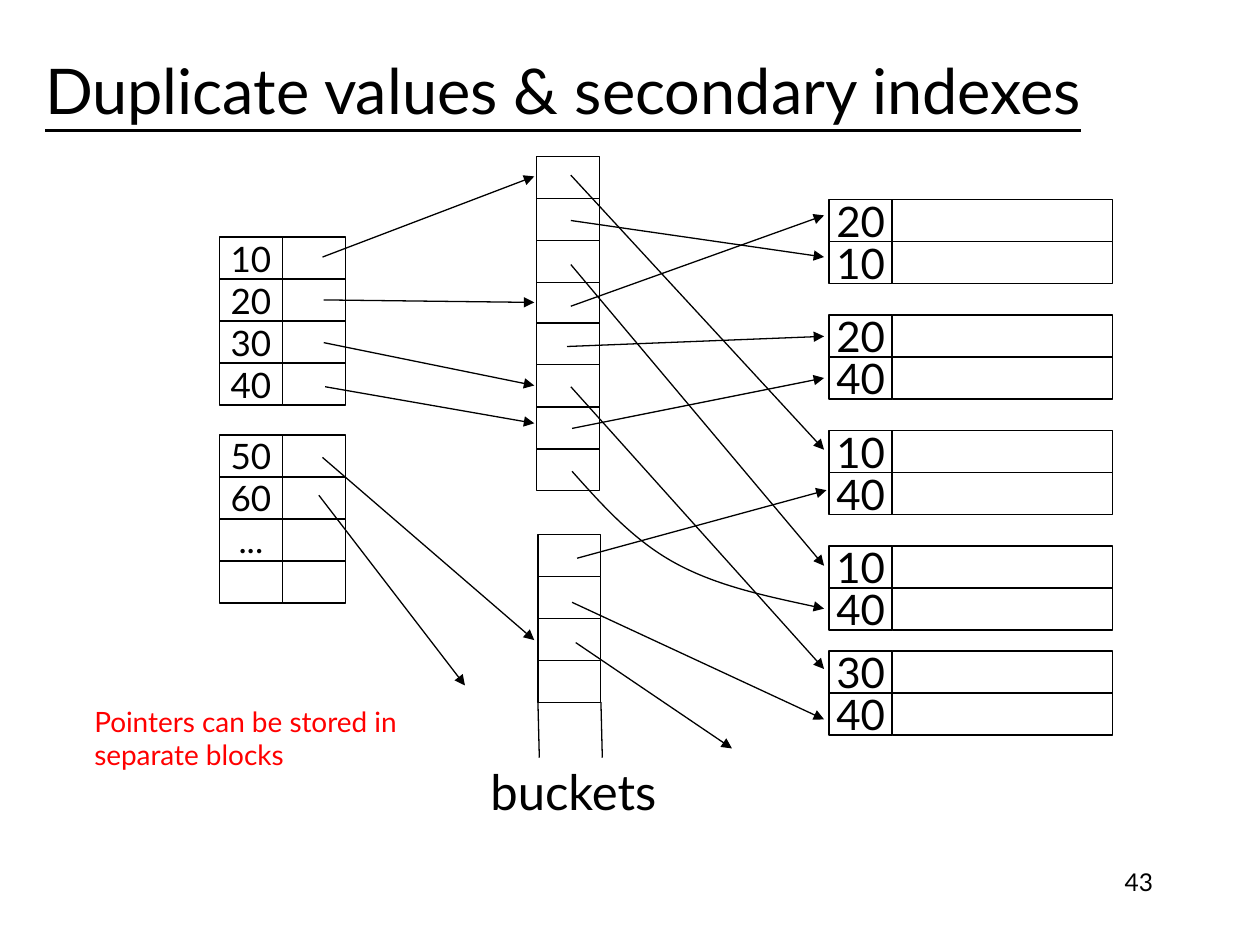
from lxml.etree import SubElement
from pptx import Presentation
from pptx.dml.color import RGBColor
from pptx.enum.shapes import MSO_CONNECTOR, MSO_SHAPE
from pptx.enum.text import MSO_ANCHOR, PP_ALIGN
from pptx.oxml.ns import qn
from pptx.util import Pt

COLORS = {"ink": "000000", "paper": "FFFFFF", "note": "FF0000"}
FONT = "Lato"
ROW_HEIGHT = 24
KEY_WIDTH = 36
RECORD_WIDTH = 126


def write_text(shape, text, size, align=PP_ALIGN.CENTER, anchor=MSO_ANCHOR.MIDDLE,
               wrap=False, color="ink"):
    frame = shape.text_frame
    frame.word_wrap = wrap
    frame.vertical_anchor = anchor
    paragraph = frame.paragraphs[0]
    paragraph.text = text
    paragraph.alignment = align
    paragraph.font.name = FONT
    paragraph.font.size = Pt(size)
    paragraph.font.color.rgb = RGBColor.from_string(COLORS[color])
    return paragraph


def style_line(shape, arrow):
    shape.line.color.rgb = RGBColor.from_string(COLORS["ink"])
    shape.line.width = Pt(0.75)
    properties = shape._element.spPr
    if arrow:
        SubElement(properties.find(qn("a:ln")), qn("a:tailEnd"), type="triangle")
    SubElement(properties, qn("a:effectLst"))


presentation = Presentation()
presentation.slide_width = Pt(720)
presentation.slide_height = Pt(540)
slide = presentation.slides.add_slide(presentation.slide_layouts[6])
shapes = slide.shapes

title = shapes.add_textbox(Pt(18.7), Pt(15.1), Pt(624.2), Pt(71.3))
title_paragraph = write_text(title, "Duplicate values & secondary indexes", 36,
                             PP_ALIGN.LEFT, wrap=True)
title_paragraph.font.underline = True

page_number = shapes.add_textbox(Pt(516.2), Pt(491.8), Pt(149.8), Pt(36))
write_text(page_number, "43", 14, PP_ALIGN.RIGHT, MSO_ANCHOR.TOP, True)

record_widths = [KEY_WIDTH, RECORD_WIDTH]
index_widths = [KEY_WIDTH, KEY_WIDTH]
bucket_widths = [KEY_WIDTH]
blocks = [
    (473.8, 114, record_widths, 24, ["20", "10"]),
    (473.8, 180, record_widths, 24, ["20", "40"]),
    (473.8, 246, record_widths, 24, ["10", "40"]),
    (473.8, 312, record_widths, 24, ["10", "40"]),
    (473.8, 372, record_widths, 24, ["30", "40"]),
    (125.4, 135.5, index_widths, 20, ["10", "20", "30", "40"]),
    (125.4, 248.5, index_widths, 20, ["50", "60", "...", ""]),
    (306.7, 89.5, bucket_widths, 20, [""] * 4),
    (306.7, 184.5, bucket_widths, 20, [""] * 4),
    (307.4, 305.5, bucket_widths, 20, [""] * 4),
]
for left, top, widths, size, keys in blocks:
    for row, key in enumerate(keys):
        for column, width in enumerate(widths):
            cell = shapes.add_shape(
                MSO_SHAPE.RECTANGLE, Pt(left + column * KEY_WIDTH),
                Pt(top + row * ROW_HEIGHT), Pt(width), Pt(ROW_HEIGHT))
            cell.shadow.inherit = False
            cell.fill.solid()
            cell.fill.fore_color.rgb = RGBColor.from_string(COLORS["paper"])
            cell.line.color.rgb = RGBColor.from_string(COLORS["ink"])
            cell.line.width = Pt(0.75)
            if column == 0 and key:
                write_text(cell, key, size)

bucket_edges = [(307.4, 401.3, 308.2, 433), (343.4, 401.3, 344.2, 433)]
pointers = [
    (184.3, 146.9, 305.3, 100.8),
    (185, 171.4, 305.3, 172.8),
    (185, 195.8, 305.3, 220.3),
    (185.8, 221, 305.3, 241.9),
    (184.3, 261.4, 305.3, 365.8),
    (182.2, 283, 265.7, 391.7),
    (326.2, 126, 470.9, 146.9),
    (326.2, 100.1, 470.9, 257),
    (326.2, 151.2, 470.9, 323.3),
    (326.2, 175, 470.9, 123.1),
    (324, 198, 470.9, 192.2),
    (326.2, 221, 470.9, 382.3),
    (326.9, 244.8, 470.9, 216),
    (326.9, 344.2, 470.9, 411.1),
    (329.8, 319, 472.3, 280.1),
    (329, 367.2, 418.3, 427.7),
]
for lines, arrow in [(bucket_edges, False), (pointers, True)]:
    for coordinates in lines:
        connector = shapes.add_connector(
            MSO_CONNECTOR.STRAIGHT, *[Pt(value) for value in coordinates])
        style_line(connector, arrow)

curve_points = [(344.2, 288.7), (362.2, 308.9), (385.9, 321.8),
                (409.7, 334.8), (440.6, 341.3), (470.9, 347.8)]
builder = shapes.build_freeform(Pt(326.9), Pt(269.3))
builder.add_line_segments([(Pt(x), Pt(y)) for x, y in curve_points], close=False)
curve = builder.convert_to_shape()
curve.fill.background()
style_line(curve, True)
outline = next(curve._element.iter(qn("a:path")))
segments = outline.findall(qn("a:lnTo"))
for start in range(0, len(segments), 3):
    bezier = SubElement(outline, qn("a:cubicBezTo"))
    for segment in segments[start:start + 3]:
        bezier.append(segment[0])
        outline.remove(segment)

buckets_label = shapes.add_textbox(Pt(269.3), Pt(431.3), Pt(116.6), Pt(41))
write_text(buckets_label, "buckets", 28)

note = shapes.add_textbox(Pt(46.8), Pt(398.9), Pt(198.7), Pt(46.1))
write_text(note, "Pointers can be stored in separate blocks", 16,
           PP_ALIGN.LEFT, MSO_ANCHOR.TOP, True, "note")

presentation.save("out.pptx")
